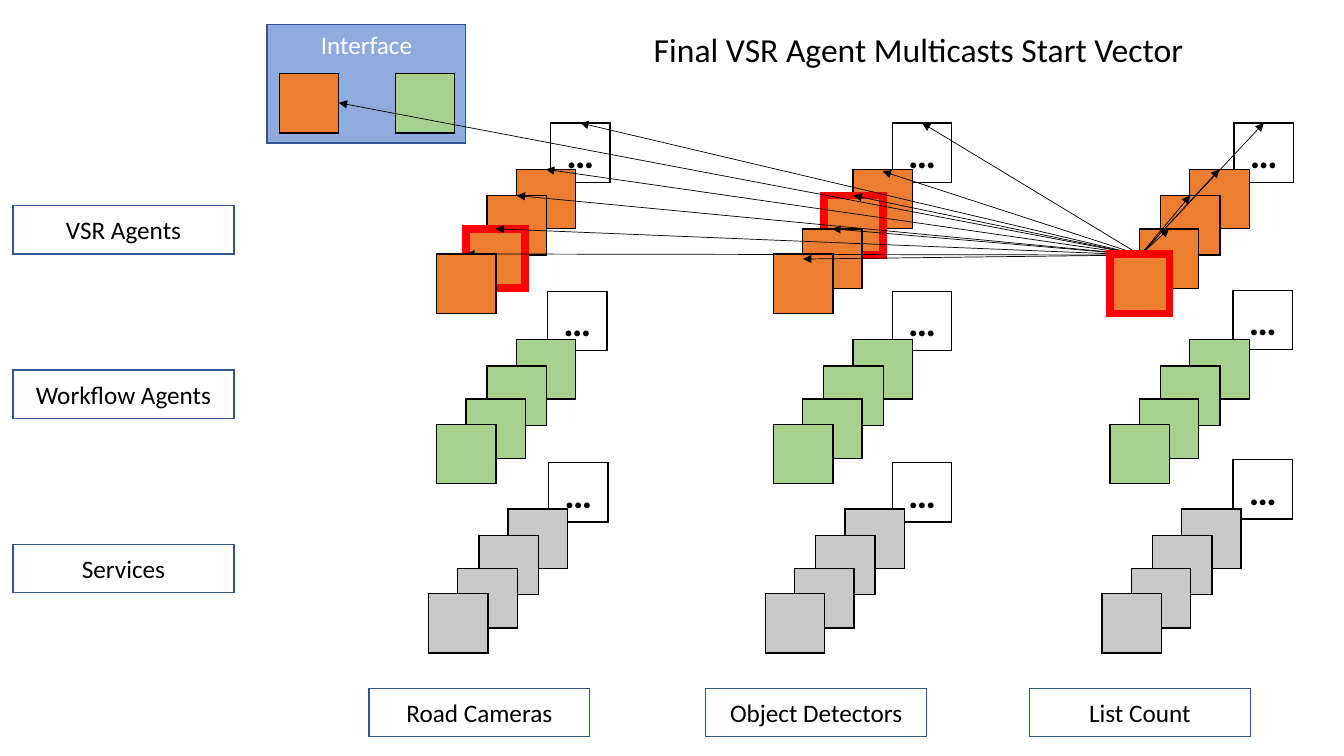
"""Build the slide showing the final VSR agent multicasting its start vector."""
from dataclasses import dataclass
from typing import NamedTuple

import pptx
import pptx.dml.color
import pptx.enum.shapes
import pptx.enum.text
import pptx.oxml
import pptx.oxml.ns
import pptx.shapes.autoshape
import pptx.slide
import pptx.text.text
import pptx.util

Inches = pptx.util.Inches
Anchor = pptx.enum.text.MSO_ANCHOR


@dataclass(frozen=True)
class Theme:
    """Colours, type sizes and line widths of the slide."""
    font: str = "Calibri"
    ink: str = "000000"
    paper: str = "FFFFFF"
    vsr: str = "ED7D31"
    workflow: str = "A9D18E"
    service: str = "C9C9C9"
    panel: str = "8FAADC"
    border: str = "325491"
    highlight: str = "FF0000"
    title_size: int = 24
    label_size: int = 18
    ellipsis_size: int = 28
    thin: float = 0.5
    normal: float = 1
    thick: float = 5.5


class Point(NamedTuple):
    """A position in inches."""
    x: float
    y: float


class Box(NamedTuple):
    """A rectangle in inches."""
    left: float
    top: float
    width: float
    height: float


class Layer(NamedTuple):
    """One row of agent stacks; `front` is the first column's front tile."""
    name: str
    label_top: float
    fill: str
    front: Point
    overflow: tuple[Point, ...]


class Column(NamedTuple):
    """One service column and the depth of its final VSR agent."""
    name: str
    label_left: float
    final_depth: int


THEME = Theme()
TILE = 0.59
COLUMN_STEP = 3.34
# Tile offsets from the front tile, back to front.
STACK = (Point(0.79, -0.84), Point(0.5, -0.58), Point(0.29, -0.25), Point(0, 0))
FRONT = len(STACK) - 1
LABEL_WIDTH, LABEL_HEIGHT = 2.19, 0.48
LAYERS = (
    Layer("VSR Agents", 2.04, THEME.vsr, Point(4.33, 2.52),
          (Point(5.46, 1.22), Point(8.85, 1.22), Point(12.24, 1.22))),
    Layer("Workflow Agents", 3.67, THEME.workflow, Point(4.33, 4.21),
          (Point(5.43, 2.89), Point(8.85, 2.89), Point(12.23, 2.88))),
    Layer("Services", 5.4, THEME.service, Point(4.25, 5.89),
          (Point(5.44, 4.59), Point(8.85, 4.59), Point(12.23, 4.56))),
)
COLUMNS = (Column("Road Cameras", 3.66, 2), Column("Object Detectors", 7, 1),
           Column("List Count", 10.21, FRONT))
SENDER = Point(11.31, 2.53)
INTERFACE_PORT = Point(3.36, 1.02)
# VSR front tiles that cover the arrows, by column.
ABOVE_ARROWS = (0, 2)
# Arrow tips that reach slightly inside their tile, by (column, depth).
TIP_DROP = {(1, FRONT): 0.05, (1, 0): 0.02}
NAMESPACE = pptx.oxml.ns.nsdecls("a")


def rgb(value: str) -> pptx.dml.color.RGBColor:
    """Turn a hex string into a colour."""
    return pptx.dml.color.RGBColor.from_string(value)


def write(frame: pptx.text.text.TextFrame, text: str, size: int,
          color: str = THEME.ink, bold: bool = False) -> None:
    """Put one centred paragraph in a text frame."""
    frame.word_wrap = True
    paragraph = frame.paragraphs[0]
    paragraph.text = text
    paragraph.alignment = pptx.enum.text.PP_ALIGN.CENTER
    paragraph.font.name = THEME.font
    paragraph.font.size = pptx.util.Pt(size)
    paragraph.font.bold = bold
    paragraph.font.color.rgb = rgb(color)


def draw_box(slide: pptx.slide.Slide, box: Box, fill: str, line: str = THEME.ink,
             width: float = THEME.normal) -> pptx.shapes.autoshape.Shape:
    """Draw a filled rectangle with a sharp-cornered outline."""
    shape = slide.shapes.add_shape(
        pptx.enum.shapes.MSO_SHAPE.RECTANGLE, *map(Inches, box))
    shape.shadow.inherit = False
    shape.fill.solid()
    shape.fill.fore_color.rgb = rgb(fill)
    shape.line.color.rgb = rgb(line)
    shape.line.width = pptx.util.Pt(width)
    shape.line._get_or_add_ln().append(
        pptx.oxml.parse_xml(f'<a:miter {NAMESPACE} lim="800000"/>'))
    return shape


def draw_label(slide: pptx.slide.Slide, left: float, top: float, text: str) -> None:
    """Draw a row or column label."""
    label = draw_box(slide, Box(left, top, LABEL_WIDTH, LABEL_HEIGHT),
                     THEME.paper, THEME.border)
    label.text_frame.vertical_anchor = Anchor.MIDDLE
    write(label.text_frame, text, THEME.label_size)


def draw_overflow(slide: pptx.slide.Slide, corner: Point) -> None:
    """Draw the tile that stands for further instances."""
    tile = draw_box(slide, Box(*corner, TILE, TILE), THEME.paper)
    tile.text_frame.vertical_anchor = Anchor.MIDDLE
    write(tile.text_frame, "…", THEME.ellipsis_size, bold=True)


def tile_corner(layer: Layer, column: int, depth: int) -> Point:
    """Find the top left corner of a tile in a stack."""
    return Point(layer.front.x + column * COLUMN_STEP + STACK[depth].x,
                 layer.front.y + STACK[depth].y)


def draw_tile(slide: pptx.slide.Slide, layer: Layer, column: int, depth: int) -> None:
    """Draw one stack tile, with a thick outline on a final VSR agent."""
    box = Box(*tile_corner(layer, column, depth), TILE, TILE)
    if layer is LAYERS[0] and depth == COLUMNS[column].final_depth:
        draw_box(slide, box, layer.fill, THEME.highlight, THEME.thick)
    else:
        draw_box(slide, box, layer.fill)


def draw_arrow(slide: pptx.slide.Slide, tip: Point) -> None:
    """Draw an arrow from the sending agent to a receiver."""
    arrow = slide.shapes.add_connector(
        pptx.enum.shapes.MSO_CONNECTOR.STRAIGHT, *map(Inches, SENDER + tip))
    arrow.line.color.rgb = rgb(THEME.ink)
    arrow.line.width = pptx.util.Pt(THEME.thin)
    arrow.line._get_or_add_ln().append(
        pptx.oxml.parse_xml(f'<a:tailEnd {NAMESPACE} type="triangle"/>'))
    arrow._element.spPr.append(pptx.oxml.parse_xml(f"<a:effectLst {NAMESPACE}/>"))


def draw_interface(slide: pptx.slide.Slide) -> None:
    """Draw the interface panel with its two agents."""
    panel = draw_box(slide, Box(2.65, 0.24, 1.97, 1.18), THEME.panel, THEME.border)
    panel.text_frame.vertical_anchor = Anchor.TOP
    write(panel.text_frame, "Interface", THEME.label_size, THEME.paper)
    for left, fill in ((2.77, THEME.vsr), (3.92, THEME.workflow)):
        draw_box(slide, Box(left, 0.73, TILE, TILE), fill)


def draw_multicast(slide: pptx.slide.Slide) -> None:
    """Send an arrow to the interface and to every other VSR agent."""
    draw_arrow(slide, INTERFACE_PORT)
    for column, corner in enumerate(LAYERS[0].overflow):
        draw_arrow(slide, Point(corner.x + TILE / 2, corner.y))
        for depth in range(len(STACK)):
            if (column, depth) != (len(COLUMNS) - 1, FRONT):
                agent = tile_corner(LAYERS[0], column, depth)
                drop = TIP_DROP.get((column, depth), 0)
                draw_arrow(slide, Point(agent.x + TILE / 2, agent.y + drop))


def main() -> None:
    """Build and save the presentation."""
    deck = pptx.Presentation()
    deck.slide_width, deck.slide_height = Inches(13.33), Inches(7.5)
    slide = deck.slides.add_slide(deck.slide_layouts[6])
    draw_interface(slide)
    for layer in LAYERS:
        draw_label(slide, 0.13, layer.label_top, layer.name)
        for column, corner in enumerate(layer.overflow):
            draw_overflow(slide, corner)
            covers = layer is LAYERS[0] and column in ABOVE_ARROWS
            for depth in range(FRONT if covers else FRONT + 1):
                draw_tile(slide, layer, column, depth)
    for column in COLUMNS:
        draw_label(slide, column.label_left, 6.83, column.name)
    draw_multicast(slide)
    for column in ABOVE_ARROWS:
        draw_tile(slide, LAYERS[0], column, FRONT)
    title = slide.shapes.add_textbox(*map(Inches, Box(5.4, 0.24, 7.42, 0.5)))
    write(title.text_frame, "Final VSR Agent Multicasts Start Vector", THEME.title_size)
    deck.save("out.pptx")


main()
